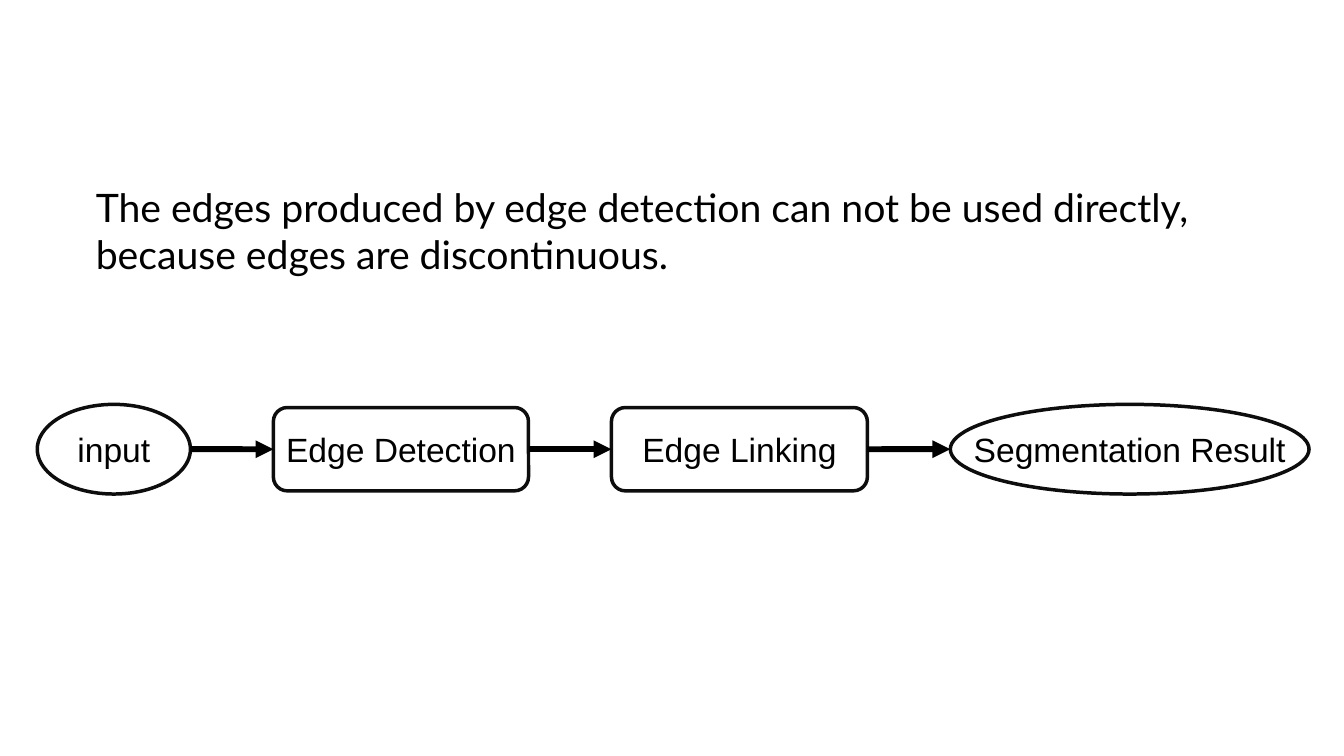
from lxml import etree
from pptx import Presentation
from pptx import util as u
from pptx.dml.color import RGBColor
from pptx.enum import shapes, text
from pptx.oxml.ns import qn

COLOURS = {"ink": "000000", "outline": "0D0D0D"}
OVAL = shapes.MSO_SHAPE.OVAL
STEP = shapes.MSO_SHAPE.ROUNDED_RECTANGLE
LEFT_SIDE, RIGHT_SIDE = 1, 3
ARROW_GAP = 2.09

# label, outline, width and height in cm
STAGES = [
    ("input", OVAL, 3.86, 2.26),
    ("Edge Detection", STEP, 6.43, 2.1),
    ("Edge Linking", STEP, 6.45, 2.1),
    ("Segmentation Result", OVAL, 9.04, 2.26),
]
STATEMENT = [
    "The edges produced by edge detection can not be used directly,",
    "because edges are discontinuous.",
]


def colour(name):
    return RGBColor.from_string(COLOURS[name])


def style_run(run, font_name, size):
    run.font.name = font_name
    run.font.size = u.Pt(size)
    run.font.color.rgb = colour("ink")


def add_statement(slide, left, top, width, height):
    body = slide.placeholders[1]
    body.left, body.top = u.Cm(left), u.Cm(top)
    body.width, body.height = u.Cm(width), u.Cm(height)
    frame = body.text_frame
    frame.text = "\n".join(STATEMENT)
    frame.auto_size = text.MSO_AUTO_SIZE.NONE
    for line in frame.paragraphs:
        line.space_before = u.Pt(0)
        properties = line._p.get_or_add_pPr()
        properties.set("marL", "0")
        properties.set("indent", "0")
        etree.SubElement(properties, qn("a:buNone"))
        style_run(line.runs[0], "Lato", 28)


def add_stage(slide, label, outline, left, top, width, height):
    stage = slide.shapes.add_shape(
        outline, u.Cm(left), u.Cm(top), u.Cm(width), u.Cm(height))
    stage.shadow.inherit = False
    stage.fill.background()
    stage.line.color.rgb = colour("outline")
    stage.line.width = u.Pt(2.5)
    frame = stage.text_frame
    frame.text = label
    frame.word_wrap = False
    frame.vertical_anchor = text.MSO_ANCHOR.MIDDLE
    frame.paragraphs[0].alignment = text.PP_ALIGN.CENTER
    style_run(frame.paragraphs[0].runs[0], "Arial", 24)
    return stage


def add_arrow(slide, source, target):
    """Join facing sides; ovals number their sites differently, so only steps are glued."""
    arrow = slide.shapes.add_connector(
        shapes.MSO_CONNECTOR.STRAIGHT,
        source.left + source.width, source.top + source.height // 2,
        target.left, target.top + target.height // 2)
    if source.auto_shape_type == STEP:
        arrow.begin_connect(source, RIGHT_SIDE)
    if target.auto_shape_type == STEP:
        arrow.end_connect(target, LEFT_SIDE)
    arrow.line.color.rgb = colour("ink")
    arrow.line.width = u.Pt(4.25)
    etree.SubElement(arrow.line._get_or_add_ln(), qn("a:tailEnd"), type="triangle")
    etree.SubElement(arrow._element.spPr, qn("a:effectLst"))


def add_pipeline(slide, left, top, height):
    """Place the stages in a row, centred on the height of the band."""
    row = []
    for label, outline, stage_width, stage_height in STAGES:
        stage_top = top + (height - stage_height) / 2
        row.append(add_stage(slide, label, outline, left, stage_top,
                             stage_width, stage_height))
        left += stage_width + ARROW_GAP
    for source, target in zip(row, row[1:]):
        add_arrow(slide, source, target)


def main():
    deck = Presentation()
    deck.slide_width, deck.slide_height = u.Cm(33.87), u.Cm(19.05)
    slide = deck.slides.add_slide(deck.slide_layouts[1])
    title = slide.shapes.title._element
    title.getparent().remove(title)
    add_statement(slide, left=2.16, top=4.48, width=30.84, height=2.67)
    add_pipeline(slide, left=0.94, top=10.19, height=2.26)
    deck.save("out.pptx")


if __name__ == "__main__":
    main()
